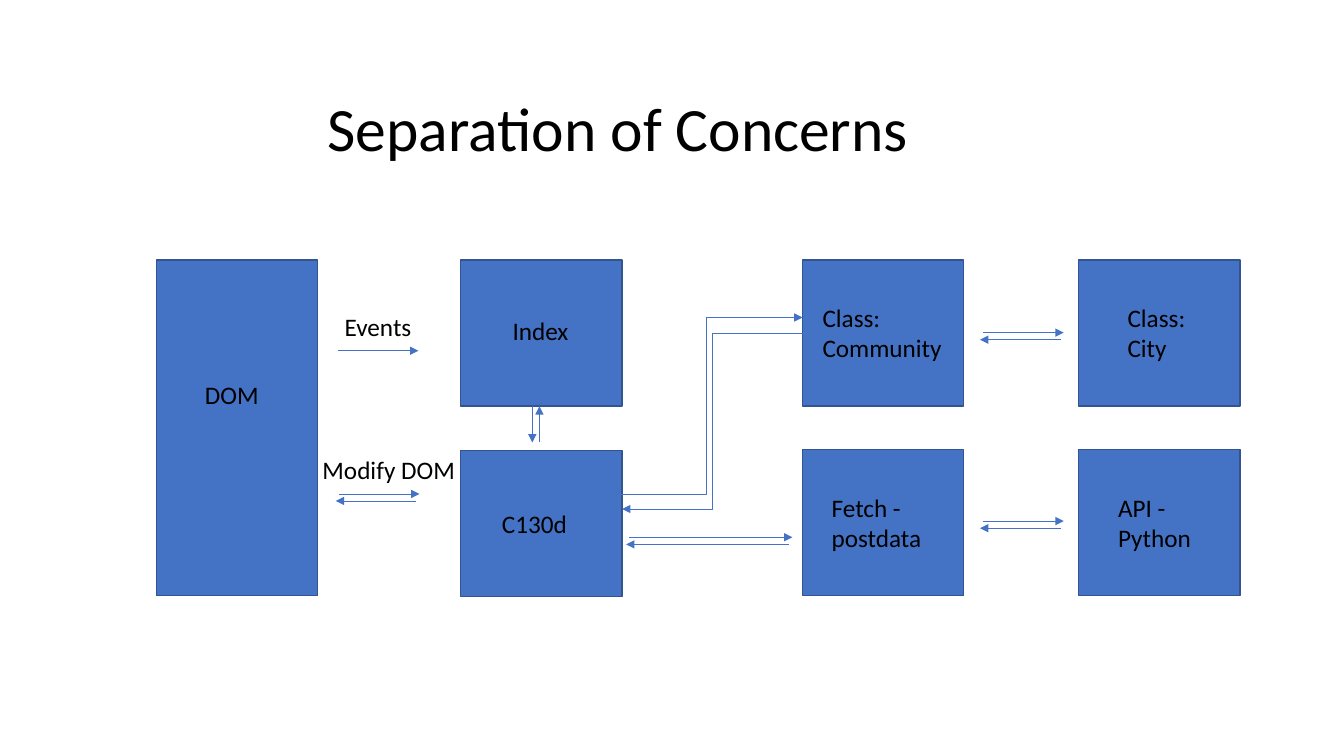
from pptx import Presentation, util as u
from pptx.dml.color import RGBColor
from pptx.enum import shapes, text
from pptx.oxml import parse_xml
from pptx.oxml.ns import nsdecls

COLORS = {"fill": "4472C4", "outline": "325491", "text": "000000"}
FONT = "Calibri"
BOX_WIDTH, BOX_HEIGHT = 1.6, 1.45
PAIR_GAP, PAIR_SHIFT = 0.07, 0.03

MODULES = [
    ((1.55, 2.58, BOX_WIDTH, 3.33), "DOM", 0.83, 0.4, (0, -0.33)),
    ((4.57, 2.58, BOX_WIDTH, BOX_HEIGHT), "Index", 0.83, 0.4, (0.03, -0.03)),
    ((4.57, 4.47, BOX_WIDTH, BOX_HEIGHT), "C130d", 0.88, 0.4, (-0.05, 0)),
    ((7.96, 2.58, BOX_WIDTH, BOX_HEIGHT), "Class:\nCommunity", 1.4, 0.71, (0, 0)),
    ((7.96, 4.46, BOX_WIDTH, BOX_HEIGHT), "Fetch - postdata", 1.22, 0.71, (0, 0)),
    ((10.7, 2.58, BOX_WIDTH, BOX_HEIGHT), "Class: City", 0.83, 0.71, (0, 0)),
    ((10.7, 4.46, BOX_WIDTH, BOX_HEIGHT), "API - Python", 1.02, 0.71, (0, 0)),
]
PAIRS = [(3.36, 4.9, 0.8), (9.75, 3.3, 0.8), (9.75, 5.17, 0.8), (6.24, 5.33, 1.62)]
STRAIGHT = [
    ((3.35, 3.48), (4.15, 3.48)),
    ((5.28, 4.03), (5.28, 4.39)),
    ((5.35, 4.39), (5.35, 4.03)),
]
BENT = [((6.05, 4.9), (7.96, 3.15)), ((7.96, 3.31), (6.17, 5.05))]
ARROW_LABELS = [((3.32, 3.04, 0.87, 0.4), "Events"), ((3.1, 4.46, 1.53, 0.4), "Modify DOM")]


def inches(values):
    """Turn numbers into a list of lengths."""
    return [u.Inches(value) for value in values]


def add_text(page, box, words, size=18, wrap=True):
    """Place left-aligned text in the given box and return its frame."""
    frame = page.shapes.add_textbox(*inches(box)).text_frame
    frame.word_wrap = wrap
    frame.text = words
    for para in frame.paragraphs:
        para.font.name = FONT
        para.font.size = u.Pt(size)
        para.font.color.rgb = RGBColor.from_string(COLORS["text"])
    return frame


def add_title(page, box, words):
    """Place the slide title, centred vertically in the given box."""
    frame = add_text(page, box, words, size=44)
    frame.vertical_anchor = text.MSO_ANCHOR.MIDDLE
    frame.paragraphs[0].line_spacing = 0.9


def add_module(page, box, words, label_width, label_height, nudge):
    """Draw a module rectangle with a label about its centre."""
    left, top, width, height = box
    block = page.shapes.add_shape(shapes.MSO_SHAPE.RECTANGLE, *inches(box))
    block.shadow.inherit = False
    block.fill.solid()
    block.fill.fore_color.rgb = RGBColor.from_string(COLORS["fill"])
    block.line.color.rgb = RGBColor.from_string(COLORS["outline"])
    block.line.width = u.Pt(1)
    label_left = left + (width - label_width) / 2 + nudge[0]
    label_top = top + (height - label_height) / 2 + nudge[1]
    add_text(page, (label_left, label_top, label_width, label_height), words)


def add_arrow(page, start, end, kind=shapes.MSO_CONNECTOR.STRAIGHT):
    """Draw a thin connector with an arrowhead at its end."""
    arrow = page.shapes.add_connector(kind, *inches(start + end))
    arrow.line.color.rgb = RGBColor.from_string(COLORS["fill"])
    arrow.line.width = u.Pt(0.5)
    arrow.line._get_or_add_ln().append(
        parse_xml(f'<a:tailEnd {nsdecls("a")} type="triangle"/>'))
    arrow._element.spPr.append(parse_xml(f'<a:effectLst {nsdecls("a")}/>'))


def add_pair(page, left, top, length):
    """Draw a forward arrow with a return arrow just below it."""
    right, below = left + length, top + PAIR_GAP
    add_arrow(page, (left, top), (right, top))
    add_arrow(page, (right - PAIR_SHIFT, below), (left - PAIR_SHIFT, below))


def main():
    """Build the slide and save the deck."""
    deck = Presentation()
    deck.slide_width, deck.slide_height = inches((13.33, 7.5))
    page = deck.slides.add_slide(deck.slide_layouts[6])
    add_title(page, (3.15, 0.58, 6.19, 1.45), "Separation of Concerns")
    for module in MODULES:
        add_module(page, *module)
    for box, words in ARROW_LABELS:
        add_text(page, box, words, wrap=False)
    for start, end in STRAIGHT:
        add_arrow(page, start, end)
    for pair in PAIRS:
        add_pair(page, *pair)
    for start, end in BENT:
        add_arrow(page, start, end, shapes.MSO_CONNECTOR.ELBOW)
    deck.save("out.pptx")


if __name__ == "__main__":
    main()
